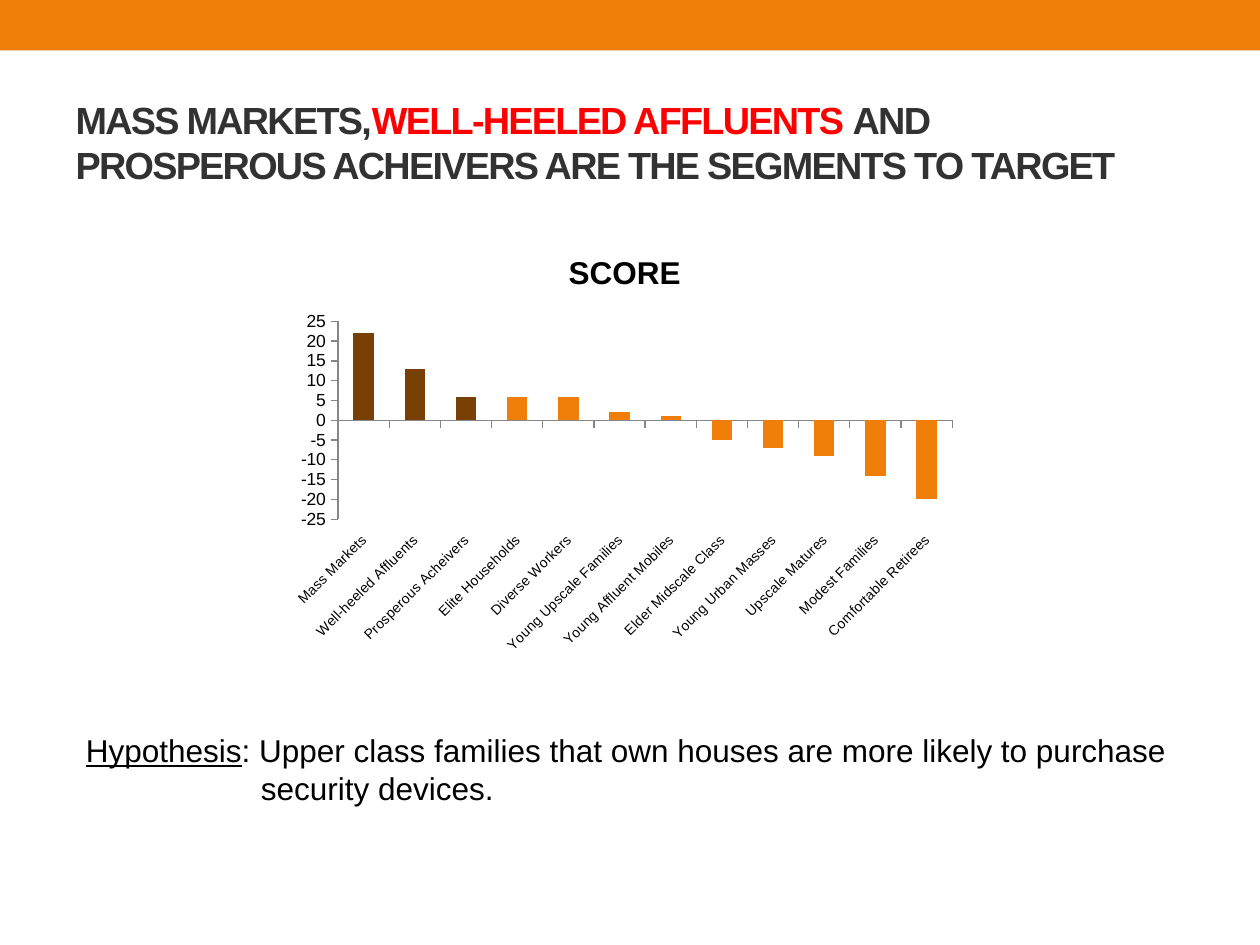
from pptx import Presentation
from pptx.chart.data import CategoryChartData
from pptx.dml.color import RGBColor
from pptx.enum.chart import XL_CHART_TYPE, XL_TICK_LABEL_POSITION, XL_TICK_MARK
from pptx.enum.shapes import MSO_SHAPE
from pptx.enum.text import MSO_ANCHOR, MSO_AUTO_SIZE, PP_ALIGN
from pptx.oxml import parse_xml
from pptx.oxml.ns import nsdecls
from pptx.util import Pt

COLORS = {"orange": "F07F09", "brown": "784004", "heading": "323232",
          "red": "FF0000", "black": "000000", "axis": "868686"}
FONT = "Arial"

HEADING = [
    ("MASS MARKETS,", "heading"),
    ("WELL-HEELED AFFLUENTS ", "red"),
    ("AND PROSPEROUS ACHEIVERS ARE THE SEGMENTS TO TARGET", "heading"),
]
SCORES = {
    "Mass Markets": 22, "Well-heeled Affluents": 13, "Prosperous Acheivers": 6,
    "Elite Households": 6, "Diverse Workers": 6, "Young Upscale Families": 2,
    "Young Affluent Mobiles": 1, "Elder Midscale Class": -5,
    "Young Urban Masses": -7, "Upscale Matures": -9,
    "Modest Families": -14, "Comfortable Retirees": -20,
}
TARGET_COUNT = 3
HYPOTHESIS = [
    (0, [("Hypothesis", True),
         (": Upper class families that own houses are more likely to purchase", False)]),
    (100, [("security devices.", False)]),
]
PLOT_AREA = {"x": 0.08, "y": 0.21, "w": 0.9, "h": 0.46}


def color(name):
    return RGBColor.from_string(COLORS[name])


def format_font(font, color_name="black", **values):
    for name, value in {"name": FONT, **values}.items():
        setattr(font, name, value)
    font.color.rgb = color(color_name)


def fill_solid(part, color_name):
    part.fill.solid()
    part.fill.fore_color.rgb = color(color_name)


def add_band(page, width):
    band = page.shapes.add_shape(MSO_SHAPE.RECTANGLE, 0, 0, width, Pt(28.8))
    band.shadow.inherit = False
    fill_solid(band, "orange")
    band.line.fill.background()


def fill_title(box):
    box.left, box.top, box.width, box.height = Pt(36), Pt(42), Pt(648), Pt(78)
    frame = box.text_frame
    frame.word_wrap = True
    frame.auto_size = MSO_AUTO_SIZE.NONE
    frame.vertical_anchor = MSO_ANCHOR.MIDDLE
    para = frame.paragraphs[0]
    para.alignment = PP_ALIGN.LEFT
    for text, color_name in HEADING:
        span = para.add_run()
        span.text = text
        format_font(span.font, color_name, size=Pt(21.6), bold=True)
        span.font._element.set("spc", "-100")


def place_plot(chart):
    """Fix the inner plot area as fractions of the chart frame."""
    sizes = "".join(f'<c:{key} val="{value}"/>' for key, value in PLOT_AREA.items())
    layout = parse_xml(
        f'<c:layout {nsdecls("c")}><c:manualLayout><c:layoutTarget val="inner"/>'
        f'<c:xMode val="edge"/><c:yMode val="edge"/>{sizes}'
        '</c:manualLayout></c:layout>')
    plot_area = chart._chartSpace.chart.plotArea
    for old in plot_area.findall(layout.tag):
        plot_area.remove(old)
    plot_area.insert(0, layout)


def add_score_chart(page):
    data = CategoryChartData()
    data.categories = list(SCORES)
    data.add_series("Series 1", list(SCORES.values()))
    chart = page.shapes.add_chart(XL_CHART_TYPE.COLUMN_CLUSTERED, Pt(162), Pt(132),
                                  Pt(390), Pt(246), data).chart
    format_font(chart.font, size=Pt(10))
    chart.has_legend = False
    chart.has_title = True
    para = chart.chart_title.text_frame.paragraphs[0]
    span = para.add_run()
    span.text = "SCORE"
    format_font(span.font, size=Pt(18), bold=True)

    plot = chart.plots[0]
    plot.gap_width = 150
    plot.vary_by_categories = False
    series = plot.series[0]
    series.invert_if_negative = False
    fill_solid(series.format, "orange")
    for index in range(TARGET_COUNT):
        fill_solid(series.points[index].format, "brown")

    axes = {chart.category_axis: 8, chart.value_axis: 10}
    for axis, size in axes.items():
        axis.has_major_gridlines = False
        axis.major_tick_mark = XL_TICK_MARK.OUTSIDE
        axis.minor_tick_mark = XL_TICK_MARK.NONE
        axis.format.line.color.rgb = color("axis")
        axis.format.line.width = Pt(0.75)
        format_font(axis.tick_labels.font, size=Pt(size))
    chart.category_axis.tick_label_position = XL_TICK_LABEL_POSITION.LOW
    chart.category_axis._element.txPr.bodyPr.set("rot", "-2700000")
    scale = {"minimum_scale": -25, "maximum_scale": 25, "major_unit": 5}
    for name, value in scale.items():
        setattr(chart.value_axis, name, value)
    place_plot(chart)


def add_hypothesis(page):
    frame = page.shapes.add_textbox(Pt(42), Pt(414), Pt(648), Pt(51)).text_frame
    frame.word_wrap = True
    for index, (indent, spans) in enumerate(HYPOTHESIS):
        para = frame.add_paragraph() if index else frame.paragraphs[0]
        if indent:
            para._p.get_or_add_pPr().set("marL", str(Pt(indent)))
        for text, underline in spans:
            span = para.add_run()
            span.text = text
            format_font(span.font, size=Pt(18), underline=underline)


def main():
    deck = Presentation()
    deck.slide_width, deck.slide_height = Pt(720), Pt(540)
    page = deck.slides.add_slide(deck.slide_layouts[5])
    add_band(page, deck.slide_width)
    fill_title(page.shapes.title)
    add_score_chart(page)
    add_hypothesis(page)
    deck.save("out.pptx")


if __name__ == "__main__":
    main()
